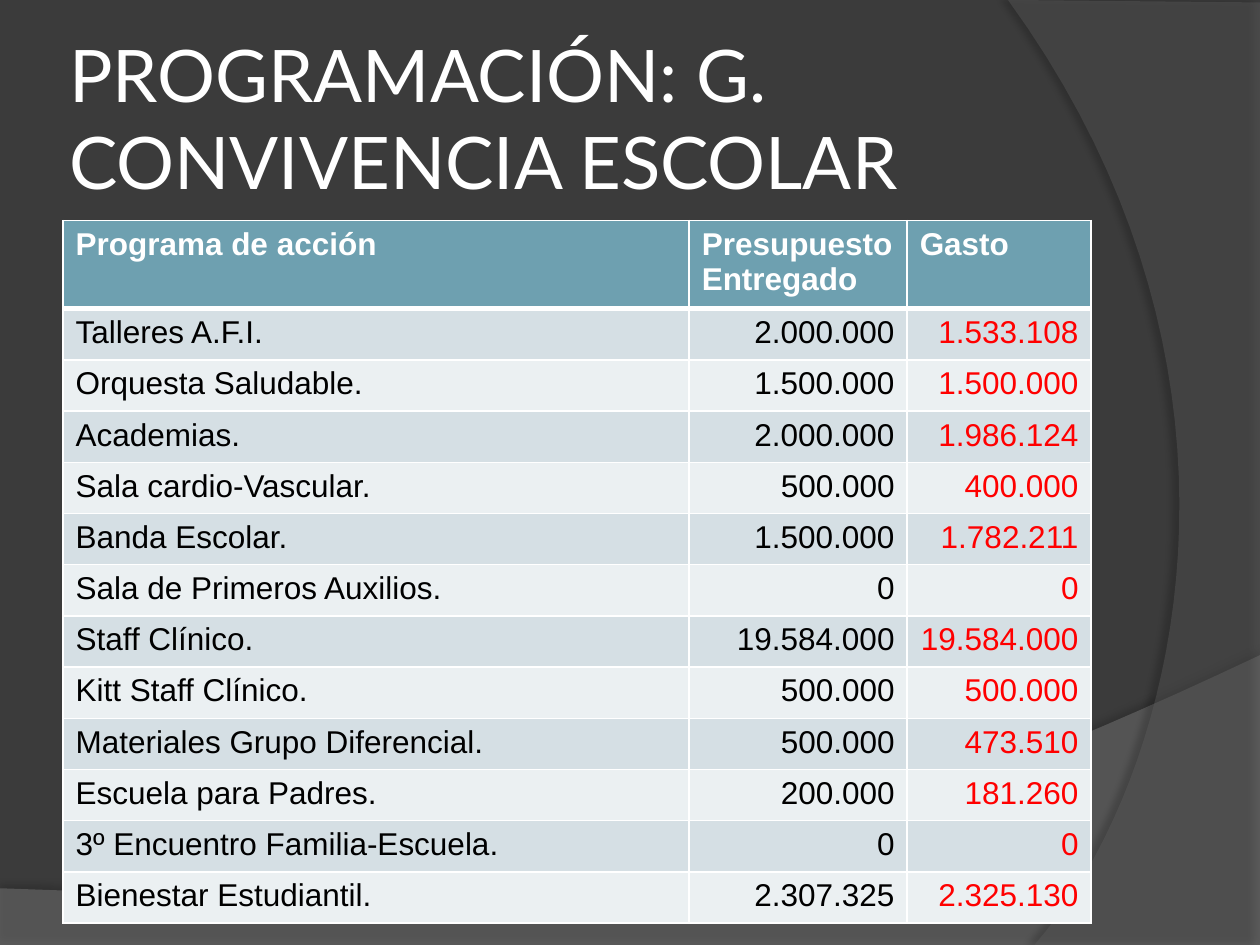
from lxml.etree import SubElement
from pptx import Presentation
from pptx.dml.color import RGBColor
from pptx.enum.text import MSO_ANCHOR, PP_ALIGN
from pptx.oxml.ns import qn
from pptx.util import Inches, Pt

BACKDROP = RGBColor(0x3B, 0x3B, 0x3B)
WAVE = RGBColor(0x7F, 0x7F, 0x7F)
ARC = RGBColor(0x5E, 0x5E, 0x5E)
HEADER = RGBColor(0x6E, 0xA0, 0xB0)
BANDS = (RGBColor(0xD5, 0xDF, 0xE4), RGBColor(0xEB, 0xF0, 0xF2))
WHITE = RGBColor(0xFF, 0xFF, 0xFF)
BLACK = RGBColor(0, 0, 0)
RED = RGBColor(0xFF, 0, 0)

COLUMNS = (4.97, 1.73, 1.46)
HEADINGS = ("Programa de acción", "Presupuesto\nEntregado", "Gasto")
PROGRAMS = (
    ("Talleres A.F.I.", "2.000.000", "1.533.108"),
    ("Orquesta Saludable.", "1.500.000", "1.500.000"),
    ("Academias.", "2.000.000", "1.986.124"),
    ("Sala cardio-Vascular.", "500.000", "400.000"),
    ("Banda Escolar.", "1.500.000", "1.782.211"),
    ("Sala de Primeros Auxilios.", "0", "0"),
    ("Staff Clínico.", "19.584.000", "19.584.000"),
    ("Kitt Staff Clínico.", "500.000", "500.000"),
    ("Materiales Grupo Diferencial.", "500.000", "473.510"),
    ("Escuela para Padres.", "200.000", "181.260"),
    ("3º Encuentro Familia-Escuela.", "0", "0"),
    ("Bienestar Estudiantil.", "2.307.325", "2.325.130"),
)


def add_run(p, text, font, size, color, bold=False):
    r = p.add_run()
    r.text = text
    r.font.name, r.font.size, r.font.bold = font, Pt(size), bold
    r.font.color.rgb = color


def bezier(a, b, c, d, steps=40):
    """Points along a cubic curve, without its start."""
    for i in range(1, steps + 1):
        t = i / steps
        u = 1 - t
        yield tuple(u**3 * a[k] + 3 * u * u * t * b[k] + 3 * u * t * t * c[k] + t**3 * d[k]
                    for k in (0, 1))


def add_sheet(s, left, top, points, color, opacity, shadow):
    """Translucent outline with a soft shadow; points are relative to left, top."""
    pts = [(Inches(left + x), Inches(top + y)) for x, y in points]
    builder = s.shapes.build_freeform(*pts[0])
    builder.add_line_segments(pts[1:], close=True)
    sp = builder.convert_to_shape()
    sp.shadow.inherit = False
    sp.line.fill.background()
    sp.fill.solid()
    sp.fill.fore_color.rgb = color
    srgb = sp.fill._xPr.find(qn("a:solidFill"))[0]
    SubElement(srgb, qn("a:alpha"), val=str(opacity * 1000))
    alpha, blur, dist, angle = shadow
    effects = sp._element.spPr.find(qn("a:effectLst"))
    outer = SubElement(effects, qn("a:outerShdw"), blurRad=str(Pt(blur)), dist=str(Pt(dist)),
                       dir=str(angle * 60000), algn="ctr", rotWithShape="0")
    black = SubElement(outer, qn("a:srgbClr"), val="000000")
    SubElement(black, qn("a:alpha"), val=str(alpha * 1000))


def add_backdrop(s):
    s.background.fill.solid()
    s.background.fill.fore_color.rgb = BACKDROP
    wave = [(0, 1.85), (0, 2.3), (10, 2.3), (10, 0),
            *bezier((10, 0), (5.59, 2.09), (3.91, 1.99), (0, 1.85))]
    add_sheet(s, 0, 5.2, wave, WAVE, 45, (35, 4, 3.5, 270))
    arc = [(2, 0.02), (2, 7.5), (0.21, 7.5),
           *bezier((0.21, 7.5), (1.35, 6.19), (2.18, 3), (0, 0))]
    add_sheet(s, 8, 0, arc, ARC, 40, (45, 4, 4, 180))


def add_title(s, left, top, width, height):
    tf = s.shapes.add_textbox(Inches(left), Inches(top), Inches(width), Inches(height)).text_frame
    tf.word_wrap = True
    tf.vertical_anchor = MSO_ANCHOR.MIDDLE
    tf.margin_left = tf.margin_right = tf.margin_top = tf.margin_bottom = Inches(0.05)
    add_run(tf.paragraphs[0], "PROGRAMACIÓN: G. CONVIVENCIA ESCOLAR", "Lato", 41.4, WHITE)


def set_borders(cell, top, bottom):
    tcPr = cell._tc.get_or_add_tcPr()
    for side, width in (("L", 1), ("R", 1), ("T", top), ("B", bottom)):
        ln = SubElement(tcPr, qn(f"a:ln{side}"), w=str(Pt(width)))
        SubElement(SubElement(ln, qn("a:solidFill")), qn("a:srgbClr"), val=str(WHITE))


def fill_cell(cell, text, fill, color, bold, align):
    cell.fill.solid()
    cell.fill.fore_color.rgb = fill
    tf = cell.text_frame
    for i, line in enumerate(text.split("\n")):
        p = tf.add_paragraph() if i else tf.paragraphs[0]
        p.alignment = align
        add_run(p, line, "Arial", 18, color, bold)


def add_budget_table(s, left, top, width, height):
    rows = (HEADINGS, *PROGRAMS)
    table = s.shapes.add_table(len(rows), len(COLUMNS), Inches(left), Inches(top),
                               Inches(width), Inches(height)).table
    table.horz_banding = False
    for col, w in zip(table.columns, COLUMNS):
        col.width = Inches(w)
    header_height = 0.65
    for i, values in enumerate(rows):
        body_height = (height - header_height) / len(PROGRAMS)
        table.rows[i].height = Inches(body_height if i else header_height)
        for j, text in enumerate(values):
            cell = table.cell(i, j)
            set_borders(cell, 3 if i == 1 else 1, 1 if i else 3)
            if i == 0:
                fill_cell(cell, text, HEADER, WHITE, True, PP_ALIGN.LEFT)
            else:
                fill_cell(cell, text, BANDS[(i - 1) % 2], RED if j == 2 else BLACK, False,
                          PP_ALIGN.RIGHT if j else PP_ALIGN.LEFT)


prs = Presentation()
prs.slide_width, prs.slide_height = Inches(10), Inches(7.5)
s = prs.slides.add_slide(prs.slide_layouts[6])
add_backdrop(s)
add_title(s, 0.5, 0.3, 8.17, 1.25)
add_budget_table(s, 0.5, 1.75, 8.16, 5.53)
prs.save("out.pptx")
